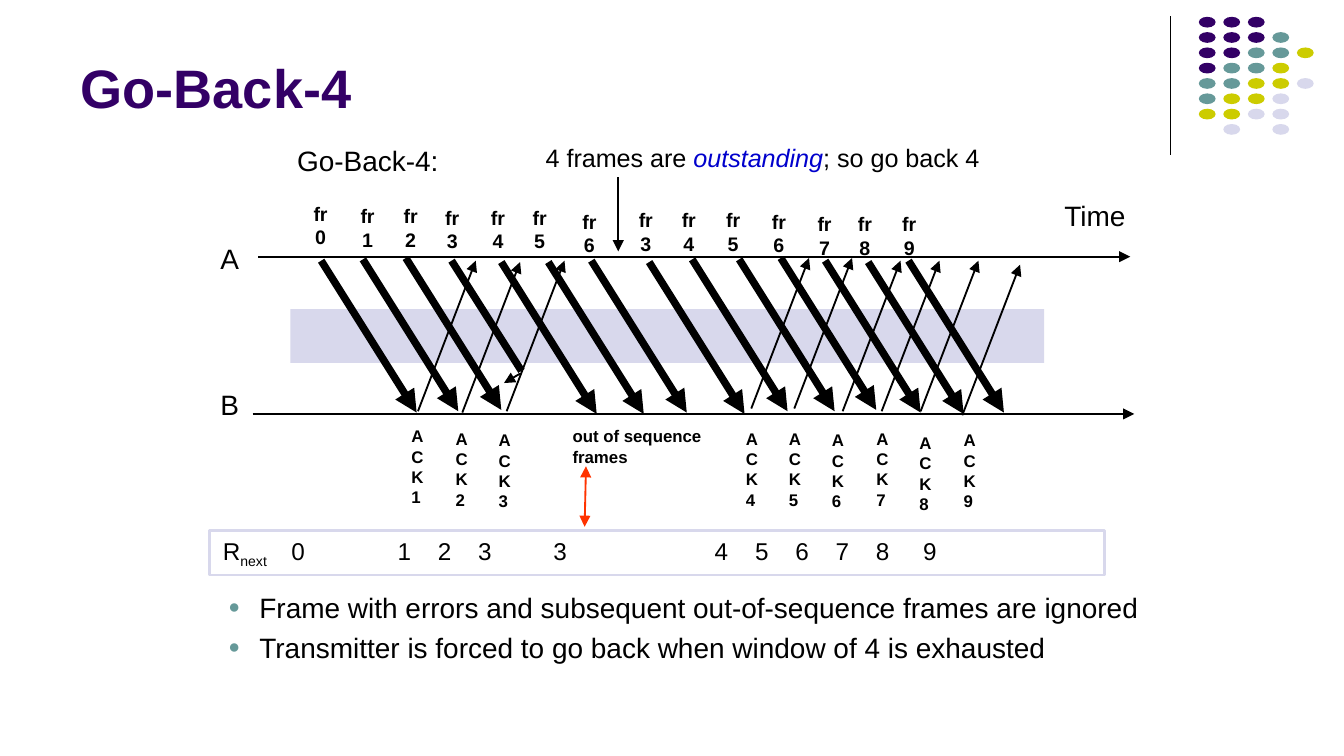
from lxml import etree
from pptx import Presentation
from pptx.dml.color import RGBColor
from pptx.enum.shapes import MSO_CONNECTOR, MSO_SHAPE
from pptx.enum.text import MSO_ANCHOR, MSO_AUTO_SIZE, PP_ALIGN
from pptx.oxml.ns import qn
from pptx.util import Inches, Pt

STRAIGHT = MSO_CONNECTOR.STRAIGHT
RECTANGLE, OVAL = MSO_SHAPE.RECTANGLE, MSO_SHAPE.OVAL
LEFT, CENTER = PP_ALIGN.LEFT, PP_ALIGN.CENTER

BLACK = RGBColor(0x00, 0x00, 0x00)
PURPLE = RGBColor(0x33, 0x00, 0x66)
TEAL = RGBColor(0x66, 0x99, 0x99)
OLIVE = RGBColor(0xCC, 0xCC, 0x00)
LAVENDER = RGBColor(0xD8, 0xD8, 0xEC)
BLUE = RGBColor(0x00, 0x00, 0xCC)
RED = RGBColor(0xFF, 0x33, 0x00)
FONT = "Arial"

# The slide is a 16:9 grid, 1000 columns wide; all positions count its cells.
COLUMNS, ROWS = 1000, 562.5
CELL = Inches(0.01)

DOT_COLORS = {"P": PURPLE, "T": TEAL, "O": OLIVE, "L": LAVENDER}
DOT_ROWS = ["PPP", "PPPT", "PPTTO", "PTTO", "TTOOL", "TOOL", "OOLL", " L L"]

# Frame number, label centre and top, then where its arrow starts.
FRAMES = [
    (0, 238, 144, 239, 194), (1, 273, 146, 270, 193), (2, 305, 146, 302, 192),
    (3, 336, 147, 336, 194), (4, 370, 147, 373, 195), (5, 401, 147, 408, 195),
    (6, 438, 150, 440, 194), (3, 480, 149, 483, 195), (4, 512, 149, 515, 193),
    (5, 545, 149, 550, 193), (6, 579, 150, 581, 192), (7, 613, 152, 614, 194),
    (8, 643, 152, 646, 195), (9, 676, 152, 676, 194),
]
LOST_FRAME = 3  # position in FRAMES of the frame that never arrives
FRAME_RUN, LOST_RUN, ACK_RUN = (71, 113), (52, 82), (43, -112)

# ACK number, label left and top, then where its arrow starts.
ACKS = [
    (1, 299, 313, 311, 306), (2, 332, 315, 344, 307), (3, 364, 316, 377, 306),
    (4, 548, 315, 559, 304), (5, 580, 315, 591, 304), (6, 612, 316, 627, 306),
    (7, 645, 315, 656, 306), (8, 677, 318, 685, 306), (9, 710, 316, 716, 309),
]

# Values of R_next with their distance from the start of the row's text.
NEXT_EXPECTED = [(0, 51), (1, 130), (2, 160), (3, 190), (3, 246), (4, 366),
                 (5, 396), (6, 426), (7, 456), (8, 486), (9, 521)]


def cells(*counts):
    return [round(count * CELL) for count in counts]


def style(font, size, color=BLACK, bold=False, italic=False):
    font.name, font.size = FONT, Pt(size)
    font.bold, font.italic = bold, italic
    font.color.rgb = color


def set_margins(frame, side, top):
    frame.margin_left = frame.margin_right = side * CELL
    frame.margin_top = frame.margin_bottom = top * CELL


def add_child(parent, tag, **attributes):
    return etree.SubElement(parent, qn(tag), attributes)


def add_line(slide, start, end, width=1, color=BLACK, head=False, tail=True):
    """Draw a line with optional arrowheads at its start (head) and end (tail)."""
    line = slide.shapes.add_connector(STRAIGHT, *cells(*start, *end))
    line.line.width = Pt(width)
    line.line.color.rgb = color
    properties = line.element.spPr
    outline = properties.find(qn("a:ln"))
    for wanted, tag in ((head, "a:headEnd"), (tail, "a:tailEnd")):
        if wanted:
            add_child(outline, tag, type="triangle")
    add_child(properties, "a:effectLst")


def add_slanted_arrow(slide, start, run, **options):
    add_line(slide, start, (start[0] + run[0], start[1] + run[1]), **options)


def add_block(slide, preset, box, fill=None, outline=None):
    block = slide.shapes.add_shape(preset, *cells(*box))
    block.shadow.inherit = False
    if fill is None:
        block.fill.background()
    else:
        block.fill.solid()
        block.fill.fore_color.rgb = fill
    if outline is None:
        block.line.fill.background()
    else:
        block.line.color.rgb = outline
        block.line.width = Pt(1.5)
    return block


def add_label(slide, box, lines, size, bold=False, align=LEFT, wrap=False, margins=(7, 4)):
    frame = slide.shapes.add_textbox(*cells(*box)).text_frame
    frame.word_wrap = wrap
    set_margins(frame, *margins)
    frame.text = "\n".join(lines)
    for paragraph in frame.paragraphs:
        paragraph.alignment = align
        style(paragraph.font, size, bold=bold)
    return frame


def add_styled_runs(paragraph, size, runs):
    """Add (text, color, italic) runs and return them."""
    added = []
    for text, color, italic in runs:
        run = paragraph.add_run()
        run.text = text
        style(run.font, size, color, italic=italic)
        added.append(run)
    return added


def place(placeholder, box):
    placeholder.left, placeholder.top, placeholder.width, placeholder.height = cells(*box)
    placeholder.text_frame.auto_size = MSO_AUTO_SIZE.NONE
    return placeholder.text_frame


def add_corner_ornament(slide):
    add_line(slide, (871, 12), (871, 115), width=0.75, tail=False)
    for row, pattern in enumerate(DOT_ROWS):
        for column, key in enumerate(pattern):
            if key in DOT_COLORS:
                box = (892 + 18.25 * column, 12.5 + 11.4 * row, 12.5, 8)
                add_block(slide, OVAL, box, DOT_COLORS[key])


def fill_title(slide):
    frame = place(slide.shapes.title, (50, 10, 825, 84))
    frame.vertical_anchor = MSO_ANCHOR.BOTTOM
    frame.text = "Go-Back-4"
    heading = frame.paragraphs[0]
    heading.alignment = LEFT
    style(heading.font, 29, PURPLE, bold=True)


def fill_conclusions(slide):
    frame = place(slide.placeholders[1], (125, 435, 754, 59))
    set_margins(frame, 7, 4)
    frame.text = ("Frame with errors and subsequent out-of-sequence frames are ignored\n"
                  "Transmitter is forced to go back when window of 4 is exhausted")
    for index, paragraph in enumerate(frame.paragraphs):
        paragraph.level = 1
        paragraph.space_before = Pt(3.5 * index)
        properties = paragraph._p.get_or_add_pPr()
        properties.set("marL", str(61 * CELL))
        properties.set("indent", str(-23 * CELL))
        add_child(add_child(properties, "a:buClr"), "a:srgbClr", val=str(TEAL))
        add_child(properties, "a:buSzPct", val="70000")
        add_child(properties, "a:buChar", char="●")
        style(paragraph.font, 15)


def add_timelines(slide):
    add_block(slide, RECTANGLE, (216, 230, 561, 40), LAVENDER)
    add_line(slide, (192, 191), (841, 191))
    add_line(slide, (188, 308), (844, 308))
    for station, top in (("A", 174), ("B", 282)):
        add_label(slide, (153, top, 36, 37), [station], 15, margins=(11, 6))
    add_label(slide, (781, 142, 69, 37), ["Time"], 15, margins=(11, 6))


def add_frames(slide):
    for index, (number, center, top, *start) in enumerate(FRAMES):
        add_label(slide, (center - 20, top, 41, 47), ["fr", str(number)], 10.5,
                  bold=True, align=CENTER, wrap=True, margins=(11, 6))
        lost = index == LOST_FRAME
        add_slanted_arrow(slide, start, LOST_RUN if lost else FRAME_RUN, width=4, tail=not lost)
    add_line(slide, (387, 278), (375, 285))


def add_acks(slide):
    for number, left, top, *start in ACKS:
        add_slanted_arrow(slide, start, ACK_RUN)
        add_label(slide, (left, top, 18, 68), [f"ACK{number}"], 9, bold=True, wrap=True)


def add_remarks(slide):
    add_label(slide, (214, 103, 121, 33), ["Go-Back-4:"], 15)
    remark = add_label(slide, (399, 102, 342, 30), [""], 13.5)
    add_styled_runs(remark.paragraphs[0], 13.5, [
        ("4 frames are ", BLACK, False), ("outstanding", BLUE, True),
        ("; so go back 4", BLACK, False)])
    add_line(slide, (460, 132), (460, 187))
    add_label(slide, (419, 313, 126, 38), ["out of sequence frames"], 9, bold=True, wrap=True)
    add_line(slide, (435, 392), (436, 347), color=RED, head=True)


def add_next_expected_row(slide):
    row = add_block(slide, RECTANGLE, (156, 395, 666, 33), outline=LAVENDER)
    paragraph = row.text_frame.paragraphs[0]
    paragraph.alignment = LEFT
    tabs = add_child(paragraph._p.get_or_add_pPr(), "a:tabLst")
    for _, offset in NEXT_EXPECTED:
        add_child(tabs, "a:tab", pos=str(offset * CELL), algn="l")
    values = "".join(f"\t{value}" for value, _ in NEXT_EXPECTED)
    runs = add_styled_runs(paragraph, 13, [
        (text, BLACK, False) for text in ("R", "next", values)])
    runs[1].font._element.set("baseline", "-25000")


def main():
    presentation = Presentation()
    presentation.slide_width, presentation.slide_height = cells(COLUMNS, ROWS)
    slide = presentation.slides.add_slide(presentation.slide_layouts[1])
    for build in (add_corner_ornament, fill_title, fill_conclusions, add_timelines,
                  add_frames, add_acks, add_remarks, add_next_expected_row):
        build(slide)
    presentation.save("out.pptx")


if __name__ == "__main__":
    main()
